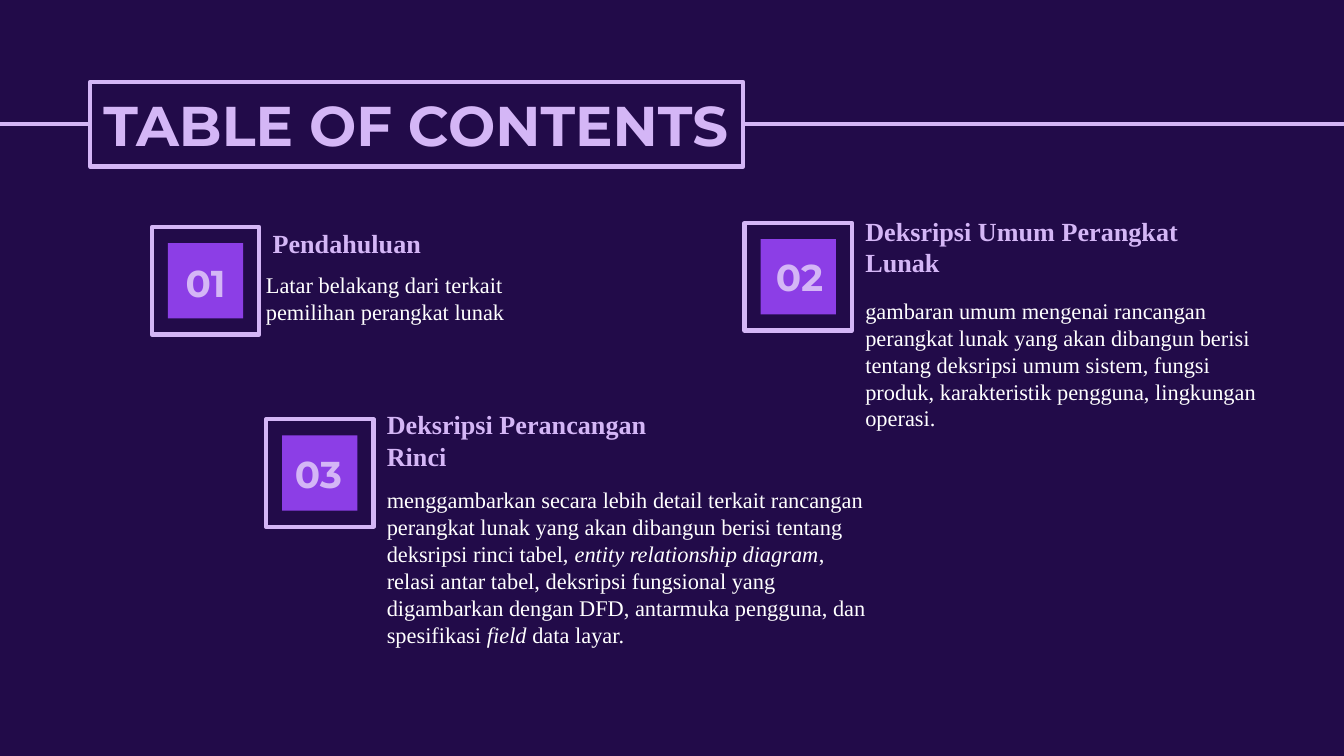
from lxml import etree
from pptx import Presentation
from pptx.dml.color import RGBColor
from pptx.enum.shapes import MSO_CONNECTOR, MSO_SHAPE
from pptx.enum.text import MSO_ANCHOR, MSO_AUTO_SIZE, PP_ALIGN
from pptx.oxml.ns import qn
from pptx.util import Inches, Pt

NIGHT = RGBColor(0x22, 0x0B, 0x49)
LILAC = RGBColor(0xD4, 0xB6, 0xF6)
VIOLET = RGBColor(0x8C, 0x3E, 0xE6)
WHITE = RGBColor(0xFF, 0xFF, 0xFF)
DISPLAY, BODY = "Montserrat", "Times New Roman"
FRAME, TILE = 0.8, 0.56

# Each chapter: number, frame corner, number offset, heading box and text box
# (both relative to the frame), heading, text runs as (words, italic)
CHAPTERS = [
    ("01", (1.13, 1.69), (0, 0.22), (0.8, -0.1, 1.92, 0.55), (0.75, 0.23, 2.32, 0.55),
     "Pendahuluan",
     [("Latar belakang dari terkait pemilihan perangkat lunak", False)]),
    ("02", (5.54, 1.66), (0.01, 0.21), (0.8, -0.16, 2.58, 0.63), (0.8, 0.45, 3.19, 1.09),
     "Deksripsi Umum Perangkat Lunak",
     [("gambaran umum mengenai rancangan perangkat lunak yang akan dibangun berisi "
       "tentang deksripsi umum sistem, fungsi produk, karakteristik pengguna, "
       "lingkungan operasi.", False)]),
    ("03", (1.98, 3.12), (-0.01, 0.21), (0.8, -0.18, 2.58, 0.59), (0.8, 0.4, 3.84, 1.5),
     "Deksripsi Perancangan Rinci",
     [("menggambarkan secara lebih detail terkait rancangan perangkat lunak yang akan "
       "dibangun berisi tentang deksripsi rinci tabel, ", False),
      ("entity relationship diagram", True),
      (", relasi antar tabel, deksripsi fungsional yang digambarkan dengan DFD, "
       "antarmuka pengguna, dan spesifikasi ", False),
      ("field", True),
      (" data layar.", False)]),
]


def outline(shape):
    shape.line.color.rgb = LILAC
    shape.line.width = Pt(2.25)
    etree.SubElement(shape.line._get_or_add_ln(), qn("a:round"))


def write(shape, runs, size, font, color, bold=False, align=PP_ALIGN.LEFT,
          anchor=MSO_ANCHOR.TOP):
    frame = shape.text_frame
    frame.word_wrap = True
    frame.auto_size = MSO_AUTO_SIZE.NONE
    frame.vertical_anchor = anchor
    frame.margin_left = frame.margin_right = Inches(0.1)
    frame.margin_top = frame.margin_bottom = Inches(0.1)
    paragraph = frame.paragraphs[0]
    paragraph.alignment = align
    paragraph.font.size = Pt(size)
    paragraph.font.name = font
    paragraph.font.bold = bold
    paragraph.font.color.rgb = color
    for words, italic in runs:
        run = paragraph.add_run()
        run.text = words
        if italic:
            run.font.italic = True


def add_box(slide, left, top, size):
    box = slide.shapes.add_shape(MSO_SHAPE.RECTANGLE, Inches(left), Inches(top),
                                 Inches(size), Inches(size))
    box.shadow.inherit = False
    return box


def add_text(slide, left, top, width, height, *args, **kwargs):
    box = slide.shapes.add_textbox(Inches(left), Inches(top), Inches(width), Inches(height))
    write(box, *args, **kwargs)


def add_header(slide, left, top, width, height):
    # Rule across the slide, behind the title
    middle = Inches(top + height / 2)
    rule = slide.shapes.add_connector(MSO_CONNECTOR.STRAIGHT, Inches(-0.06), middle,
                                      Inches(10), middle)
    outline(rule)
    etree.SubElement(rule._element.spPr, qn("a:effectLst"))

    # Framed title, moved in front of the rule
    title = slide.shapes.title
    title.left, title.top = Inches(left), Inches(top)
    title.width, title.height = Inches(width), Inches(height)
    title.fill.solid()
    title.fill.fore_color.rgb = NIGHT
    outline(title)
    write(title, [("TABLE OF CONTENTS", False)], 30, DISPLAY, LILAC, bold=True,
          anchor=MSO_ANCHOR.MIDDLE)
    rule._element.addnext(title._element)


def add_chapter(slide, number, corner, number_offset, heading_box, text_box, heading, runs):
    left, top = corner

    # Numbered tile inside its frame
    frame = add_box(slide, left, top, FRAME)
    frame.fill.background()
    outline(frame)
    inset = (FRAME - TILE) / 2
    tile = add_box(slide, left + inset, top + inset, TILE)
    tile.fill.solid()
    tile.fill.fore_color.rgb = VIOLET
    tile.line.fill.background()
    dx, dy = number_offset
    add_text(slide, left + dx, top + dy, FRAME, 0.38, [(number, False)], 20, DISPLAY, LILAC,
             bold=True, align=PP_ALIGN.CENTER, anchor=MSO_ANCHOR.MIDDLE)

    # Heading and description
    dx, dy, width, height = heading_box
    add_text(slide, left + dx, top + dy, width, height, [(heading, False)], 14, BODY, LILAC,
             bold=True)
    dx, dy, width, height = text_box
    add_text(slide, left + dx, top + dy, width, height, runs, 12, BODY, WHITE)


def main():
    prs = Presentation()
    # Widescreen, 16:9
    prs.slide_width, prs.slide_height = Inches(10), Inches(10 * 9 / 16)
    slide = prs.slides.add_slide(prs.slide_layouts[5])
    slide.background.fill.solid()
    slide.background.fill.fore_color.rgb = NIGHT
    add_header(slide, 0.67, 0.61, 4.86, 0.63)
    for chapter in CHAPTERS:
        add_chapter(slide, *chapter)
    prs.save("out.pptx")


if __name__ == "__main__":
    main()
